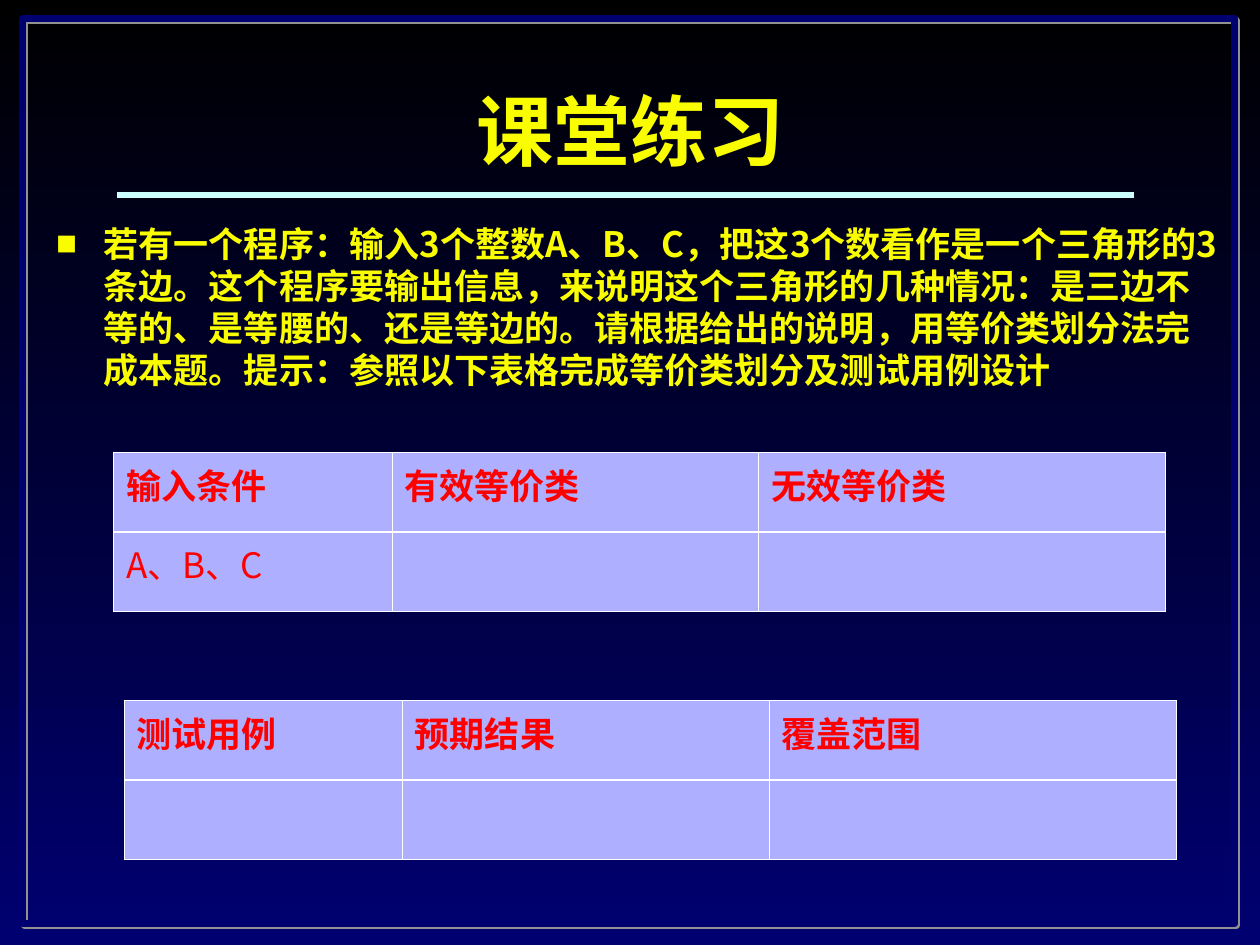
from dataclasses import dataclass

import pptx
import pptx.dml.color
import pptx.enum.shapes
import pptx.enum.text
import pptx.oxml
import pptx.oxml.ns
import pptx.util

Pt = pptx.util.Pt
FONT = "Noto Sans CJK SC"
HUES = {
    "black": "000000",
    "navy": "000070",
    "grey": "919191",
    "yellow": "FAFD00",
    "ice": "CCFFFF",
    "red": "FF0000",
    "lilac": "AFAFFF",
    "white": "FFFFFF",
}
COLS = (159.1, 209.5, 232.6)
ROW = 45.36
THIN, THICK = 0.45, 1.47


@dataclass
class Block:
    left: float
    top: float
    width: float
    height: float
    text: str
    size: float
    lines: float


@dataclass
class Grid:
    left: float
    top: float
    rows: tuple


TITLE = Block(20.16, 32.4, 680.4, 90, "课堂练习", 44, 0.9)
BODY = Block(
    25.2, 123.4, 680.4, 396.7,
    "若有一个程序：输入3个整数A、B、C，把这3个数看作是一个三角形的3条边。"
    "这个程序要输出信息，来说明这个三角形的几种情况：是三边不等的、是等腰的、"
    "还是等边的。请根据给出的说明，用等价类划分法完成本题。"
    "提示：参照以下表格完成等价类划分及测试用例设计",
    20, 1.0,
)
GRIDS = (
    Grid(65, 258.5, (("输入条件", "有效等价类", "无效等价类"), ("A、B、C", "", ""))),
    Grid(70.8, 400.3, (("测试用例", "预期结果", "覆盖范围"), ("", "", ""))),
)


def tint(name: str):
    return pptx.dml.color.RGBColor.from_string(HUES[name])


def node(body: str):
    head, tail = body.split(" ", 1)
    return pptx.oxml.parse_xml(f"<{head} {pptx.oxml.ns.nsdecls('a')} {tail}")


def style(para, size: float, hue: str, bold: bool = True) -> None:
    for run in para.runs:
        run.font.name = FONT
        run.font.size = Pt(size)
        run.font.bold = bold
        run.font.color.rgb = tint(hue)
        face = run.font._element.find(pptx.oxml.ns.qn("a:latin"))
        face.addnext(node(f'a:ea typeface="{FONT}"/>'))


def paint(slide) -> None:
    fill = slide.background.fill
    fill.gradient()
    fill.gradient_angle = 270
    for stop, name in zip(fill.gradient_stops, ("black", "navy")):
        stop.color.rgb = tint(name)


def frame(slide) -> None:
    box = slide.shapes.add_shape(
        pptx.enum.shapes.MSO_SHAPE.RECTANGLE, Pt(13), Pt(10.8), Pt(692.6), Pt(517)
    )
    box.fill.background()
    box.line.color.rgb = tint("navy")
    box.line.width = Pt(4)
    box.shadow.inherit = False
    glow = box._element.spPr.find(pptx.oxml.ns.qn("a:effectLst"))
    glow.append(node(
        f'a:outerShdw dist="{Pt(1.4)}" dir="2700000" algn="ctr" rotWithShape="0">'
        f'<a:srgbClr val="{HUES["grey"]}"/></a:outerShdw>'
    ))


def rule(slide) -> None:
    line = slide.shapes.add_connector(
        pptx.enum.shapes.MSO_CONNECTOR.STRAIGHT, Pt(67), Pt(111.4), Pt(648), Pt(111.4)
    )
    line.line.color.rgb = tint("ice")
    line.line.width = Pt(3)
    line._element.spPr.append(node("a:effectLst />"))


def write(slide, block: Block):
    box = slide.shapes.add_textbox(
        Pt(block.left), Pt(block.top), Pt(block.width), Pt(block.height)
    )
    box.text_frame.word_wrap = True
    box.text_frame.text = block.text
    para = box.text_frame.paragraphs[0]
    para.line_spacing = block.lines
    style(para, block.size, "yellow")
    return box.text_frame


def bullet(para) -> None:
    para.space_after = Pt(7.5)
    props = para._p.get_or_add_pPr()
    props.set("marL", str(Pt(27)))
    props.set("indent", str(Pt(-27)))
    for part in (
        f'a:buClr ><a:srgbClr val="{HUES["yellow"]}"/></a:buClr>',
        'a:buSzPct val="60000"/>',
        f'a:buFont typeface="{FONT}"/>',
        'a:buChar char="■"/>',
    ):
        props.append(node(part))


def edge(cell, sides: dict[str, float]) -> None:
    props = cell._tc.get_or_add_tcPr()
    for side, width in sides.items():
        props.append(node(
            f'a:ln{side} w="{Pt(width)}"><a:solidFill>'
            f'<a:srgbClr val="{HUES["white"]}"/></a:solidFill></a:ln{side}>'
        ))


def draw(slide, grid: Grid) -> None:
    count = len(grid.rows)
    table = slide.shapes.add_table(
        count, len(COLS), Pt(grid.left), Pt(grid.top), Pt(sum(COLS)), Pt(ROW * count)
    ).table
    table.first_row = table.horz_banding = False
    for col, width in zip(table.columns, COLS):
        col.width = Pt(width)
    for y, texts in enumerate(grid.rows):
        table.rows[y].height = Pt(ROW)
        first = y == 0
        sides = {"L": THIN, "R": THIN,
                 "T": THIN if first else THICK,
                 "B": THICK if first else THIN}
        for x, text in enumerate(texts):
            cell = table.cell(y, x)
            edge(cell, sides)
            cell.fill.solid()
            cell.fill.fore_color.rgb = tint("lilac")
            if text:
                cell.text_frame.text = text
                style(cell.text_frame.paragraphs[0], 20, "red", first)


def main() -> None:
    deck = pptx.Presentation()
    deck.slide_width, deck.slide_height = Pt(720), Pt(540)
    slide = deck.slides.add_slide(deck.slide_layouts[6])
    paint(slide)
    frame(slide)
    bullet(write(slide, BODY).paragraphs[0])
    rule(slide)
    title = write(slide, TITLE)
    title.vertical_anchor = pptx.enum.text.MSO_ANCHOR.MIDDLE
    title.paragraphs[0].alignment = pptx.enum.text.PP_ALIGN.CENTER
    for grid in GRIDS:
        draw(slide, grid)
    deck.save("out.pptx")


if __name__ == "__main__":
    main()
